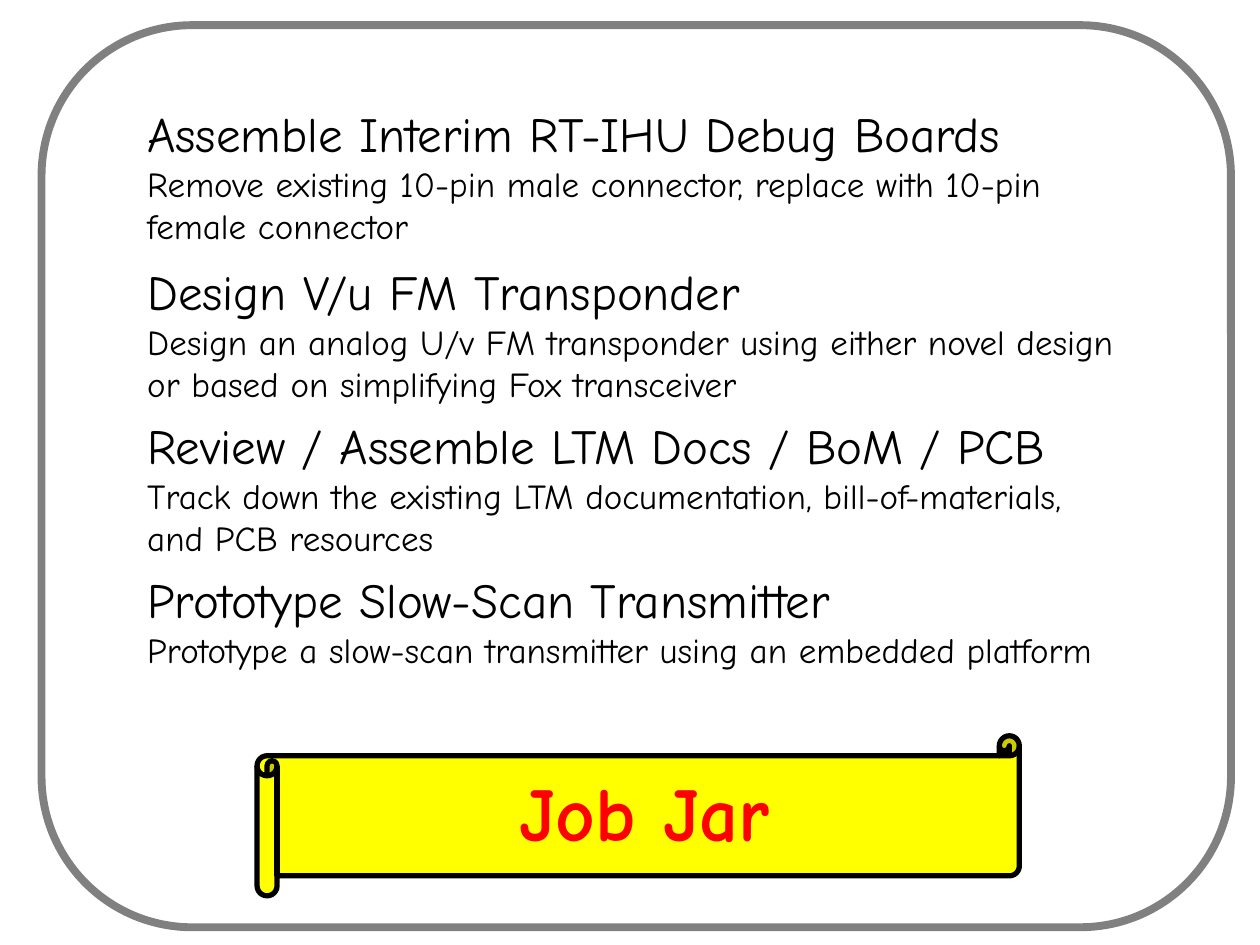
from pptx import Presentation
from pptx.dml.color import RGBColor
from pptx.enum.shapes import MSO_SHAPE
from pptx.enum.text import MSO_AUTO_SIZE, PP_ALIGN
from pptx.util import Inches, Pt

FONT = "Comic Neue"
JOB_LEFT, JOB_WIDTH = 1.07, 7.99

# Top, height, title and description of each job
JOBS = [
    (0.77, 1.23, "Assemble Interim RT-IHU Debug Boards",
     "Remove existing 10-pin male connector, replace with 10-pin female connector"),
    (2.03, 1.23, "Design V/u FM Transponder",
     "Design an analog U/v FM transponder using either novel design "
     "or based on simplifying Fox transceiver"),
    (3.25, 1.23, "Review / Assemble LTM Docs / BoM / PCB",
     "Track down the existing LTM documentation, bill-of-materials, and PCB resources"),
    (4.47, 0.9, "Prototype Slow-Scan Transmitter",
     "Prototype a slow-scan transmitter using an embedded platform"),
]


def rgb(hex_color):
    return RGBColor.from_string(hex_color)


def add_outline(shapes, preset, box, adjustment, line_color, line_width, fill=None):
    outline = shapes.add_shape(preset, *map(Inches, box))
    outline.shadow.inherit = False
    outline.adjustments[0] = adjustment
    if fill:
        outline.fill.solid()
        outline.fill.fore_color.rgb = rgb(fill)
    else:
        outline.fill.background()
    outline.line.color.rgb = rgb(line_color)
    outline.line.width = Pt(line_width)


def add_text(shapes, box, lines, color="000000", bold=False, align=PP_ALIGN.LEFT):
    """Add a text box with one paragraph for each (text, size) pair."""
    frame = shapes.add_textbox(*map(Inches, box)).text_frame
    frame.word_wrap = True
    frame.auto_size = MSO_AUTO_SIZE.SHAPE_TO_FIT_TEXT
    for index, (text, size) in enumerate(lines):
        paragraph = frame.add_paragraph() if index else frame.paragraphs[0]
        paragraph.alignment = align
        run = paragraph.add_run()
        run.text = text
        run.font.name = FONT
        run.font.size = Pt(size)
        run.font.bold = bold
        run.font.color.rgb = rgb(color)


def add_banner(slide):
    banner = slide.shapes.add_group_shape()
    add_outline(banner.shapes, MSO_SHAPE.HORIZONTAL_SCROLL, (2.04, 5.84, 6.05, 1.27),
                0.125, "000000", 3, fill="FFFF00")
    add_text(banner.shapes, (1.74, 6.02, 6.75, 0.83), [("Job Jar", 44)],
             color="FF0000", bold=True, align=PP_ALIGN.CENTER)


def main():
    prs = Presentation()
    prs.slide_width, prs.slide_height = Inches(10), Inches(7.5)
    slide = prs.slides.add_slide(prs.slide_layouts[6])

    # Scroll banner with the title
    add_banner(slide)

    # Rounded card border
    add_outline(slide.shapes, MSO_SHAPE.ROUNDED_RECTANGLE, (0.33, 0.2, 9.44, 7.16),
                0.167, "808080", 4.5)

    # Job list
    for top, height, title, description in JOBS:
        add_text(slide.shapes, (JOB_LEFT, top, JOB_WIDTH, height),
                 [(title, 28), (description, 20)])

    prs.save("out.pptx")


if __name__ == "__main__":
    main()
